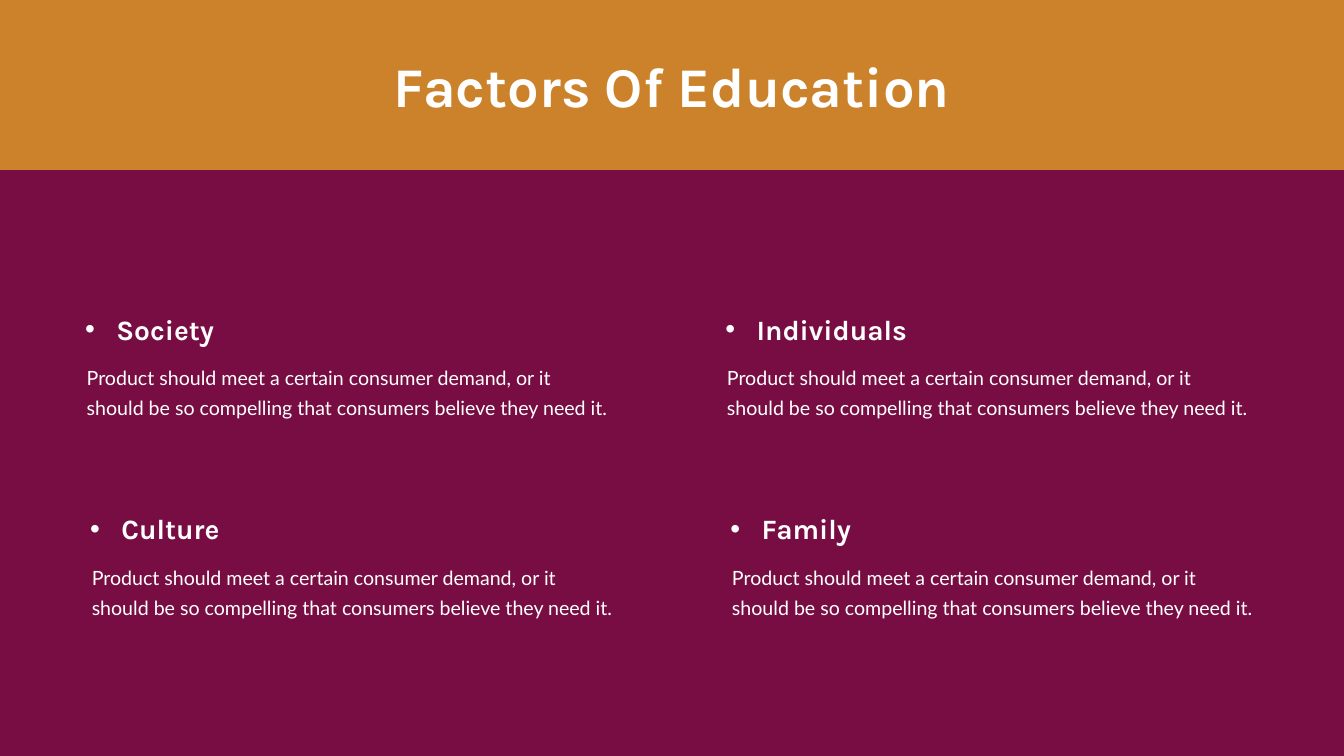
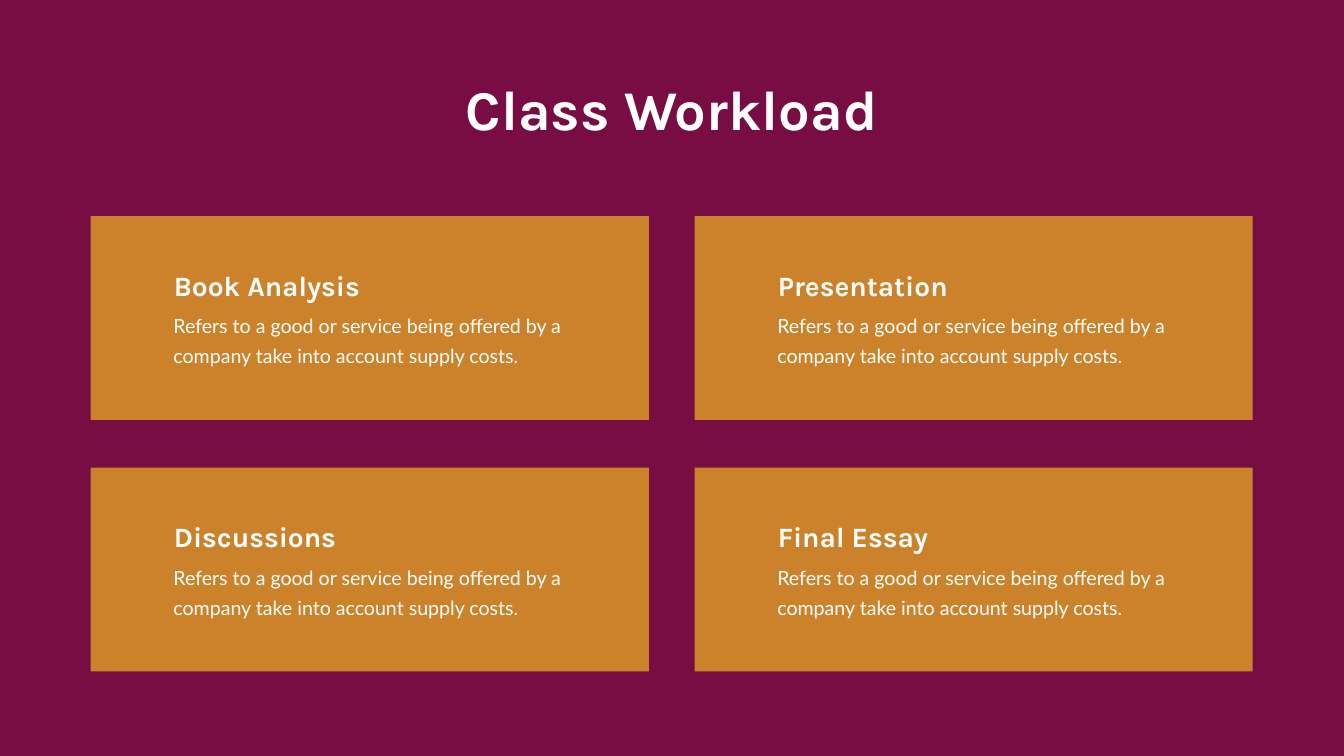
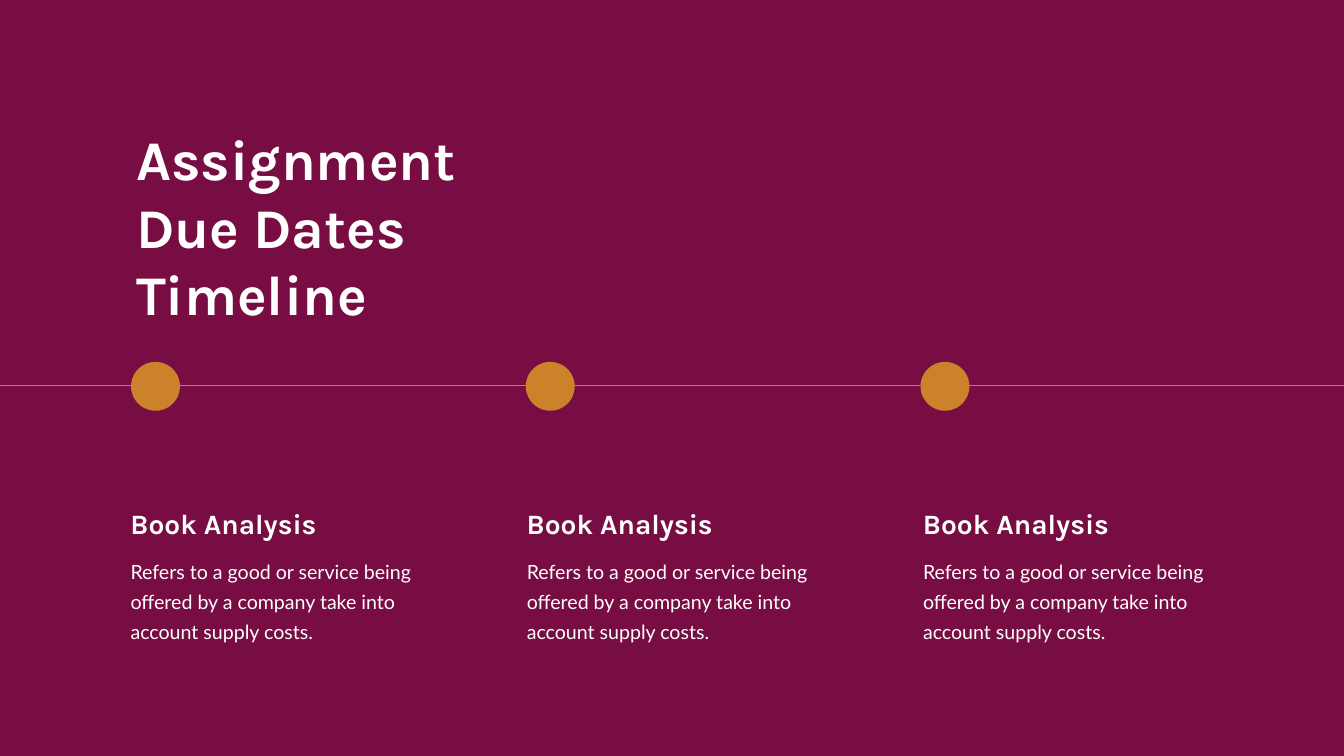
from dataclasses import dataclass
from itertools import product

from lxml.etree import SubElement
from pptx import Presentation
from pptx.dml.color import RGBColor
from pptx.enum.shapes import MSO_CONNECTOR, MSO_SHAPE
from pptx.enum.text import MSO_AUTO_SIZE, PP_ALIGN
from pptx.oxml.ns import qn
from pptx.util import Inches, Pt

# Shared look
WINE = RGBColor(0x77, 0x0D, 0x42)
OCHRE = RGBColor(0xCB, 0x82, 0x2A)
WHITE = RGBColor(0xFF, 0xFF, 0xFF)
WIDE, HIGH = 26.66, 15


@dataclass(frozen=True)
class Box:
    left: float
    top: float
    width: float
    height: float


@dataclass(frozen=True)
class Style:
    font: str
    size: int
    bold: bool = True
    pad: tuple[float, float] = (0.1, 0.05)
    pitch: int | None = None
    bullet: bool = False
    align: PP_ALIGN = PP_ALIGN.LEFT


@dataclass(frozen=True)
class Note:
    title: str
    text: str
    head: Box
    body: Box
    bullet: bool = False


TITLE = Style("Karla", 80)
CENTER = Style("Karla", 80, align=PP_ALIGN.CENTER)
HEAD = Style("Karla", 40)
POINT = Style("Karla", 40, bullet=True)
BODY = Style("Lato", 28, bold=False, pad=(0.24, 0.12), pitch=43)

DEMAND = ("Product should meet a certain consumer demand, or it should be "
          "so compelling that consumers believe they need it.")
SUPPLY = ("Refers to a good or service being offered by a company "
          "take into account supply costs.")


def place(box: Box) -> tuple:
    return (Inches(box.left), Inches(box.top),
            Inches(box.width), Inches(box.height))


def add_fill(slide, box: Box, color: RGBColor, kind=MSO_SHAPE.RECTANGLE) -> None:
    shape = slide.shapes.add_shape(kind, *place(box))
    shape.shadow.inherit = False
    shape.fill.solid()
    shape.fill.fore_color.rgb = color
    shape.line.fill.background()


def add_text(shapes, box: Box, text: str, style: Style) -> None:
    frame = shapes.add_textbox(*place(box)).text_frame
    frame.word_wrap = True
    frame.auto_size = MSO_AUTO_SIZE.SHAPE_TO_FIT_TEXT
    frame.margin_left = frame.margin_right = Inches(style.pad[0])
    frame.margin_top = frame.margin_bottom = Inches(style.pad[1])
    para = frame.paragraphs[0]
    para.alignment = style.align
    if style.pitch:
        para.line_spacing = Pt(style.pitch)
    if style.bullet:
        props = para._p.get_or_add_pPr()
        props.set("marL", str(Inches(0.62)))
        props.set("indent", str(Inches(-0.62)))
        SubElement(props, qn("a:buFont")).set("typeface", "Arial")
        SubElement(props, qn("a:buChar")).set("char", "•")
    run = para.add_run()
    run.text = text
    run.font.name = style.font
    run.font.size = Pt(style.size)
    run.font.bold = style.bold
    run.font.color.rgb = WHITE


def add_note(slide, note: Note) -> None:
    group = slide.shapes.add_group_shape()
    add_text(group.shapes, note.body, note.text, BODY)
    add_text(group.shapes, note.head, note.title, POINT if note.bullet else HEAD)


def new_slide(deck):
    slide = deck.slides.add_slide(deck.slide_layouts[6])
    add_fill(slide, Box(0, 0, WIDE, HIGH), WINE)
    return slide


def add_factors(deck) -> None:
    slide = new_slide(deck)
    add_fill(slide, Box(0, 0, WIDE, 3.37), OCHRE)
    names = ("Society", "Individuals", "Culture", "Family")
    for name, (row, col) in zip(names, product(range(2), repeat=2)):
        # The lower row sits slightly to the right
        left, top = 1.59 + 12.7 * col + 0.1 * row, 6.15 + 3.96 * row
        add_note(slide, Note(name, DEMAND, Box(left, top, 4.77, 0.77),
                             Box(left - 0.11, top + 0.86, 10.88, 1.38), True))
    add_text(slide.shapes, Box(7.43, 0.97, 11.8, 1.45),
             "Factors Of Education", CENTER)


def add_work(deck) -> None:
    slide = new_slide(deck)
    add_text(slide.shapes, Box(8.08, 1.42, 10.49, 1.45), "Class Workload", CENTER)
    names = ("Book Analysis", "Presentation", "Discussions", "Final Essay")
    for name, (row, col) in zip(names, product(range(2), repeat=2)):
        left, top = 1.8 + 11.98 * col, 4.29 + 4.99 * row
        add_fill(slide, Box(left, top, 11.07, 4.04), OCHRE)
        add_note(slide, Note(name, SUPPLY,
                             Box(left + 1.55, top + 0.98, 3.97, 0.77),
                             Box(left + 1.4, top + 1.69, 8.28, 1.38)))


def add_dates(deck) -> None:
    slide = new_slide(deck)
    # Timeline axis
    axis = slide.shapes.add_connector(MSO_CONNECTOR.STRAIGHT, Inches(0),
                                      Inches(7.65), Inches(WIDE), Inches(7.65))
    axis.line.color.rgb = OCHRE
    axis.line.width = Pt(0.5)
    SubElement(axis._element.spPr, qn("a:effectLst"))
    add_text(slide.shapes, Box(2.6, 2.43, 8.79, 2.79),
             "Assignment Due Dates Timeline", TITLE)
    # Due dates
    for step in range(3):
        left = 2.49 + 7.86 * step
        add_note(slide, Note("Book Analysis", SUPPLY,
                             Box(left, 10.01, 3.97, 0.77),
                             Box(left - 0.14, 10.86, 6.24, 1.98)))
        add_fill(slide, Box(2.6 + 7.83 * step, 7.18, 0.97, 0.97),
                 OCHRE, MSO_SHAPE.OVAL)


def main() -> None:
    deck = Presentation()
    deck.slide_width, deck.slide_height = Inches(WIDE), Inches(HIGH)
    for build in (add_factors, add_work, add_dates):
        build(deck)
    deck.save("out.pptx")


if __name__ == "__main__":
    main()
